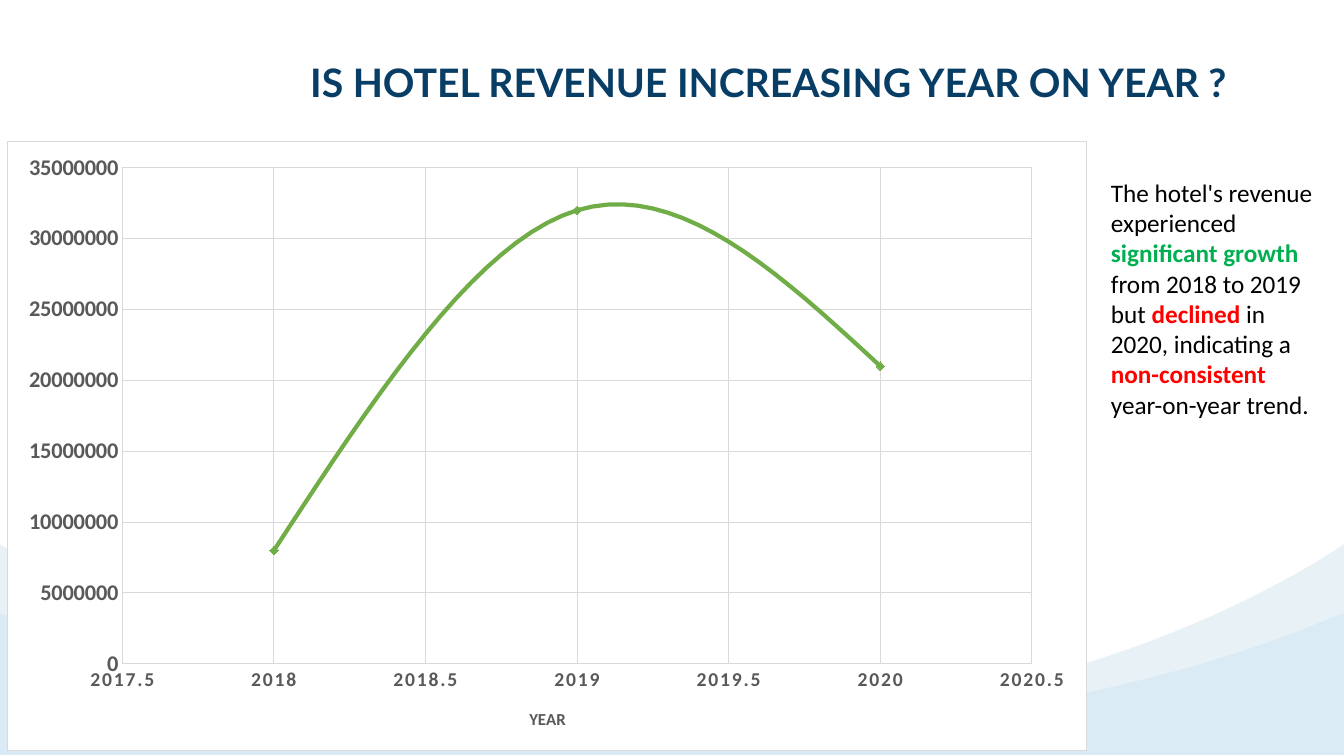
from lxml import etree
from pptx import Presentation
from pptx.chart.data import XyChartData
from pptx.dml.color import RGBColor
from pptx.enum.chart import XL_CHART_TYPE, XL_MARKER_STYLE, XL_TICK_MARK
from pptx.enum.text import MSO_ANCHOR, MSO_AUTO_SIZE, PP_ALIGN
from pptx.oxml import parse_xml
from pptx.oxml.ns import nsdecls, qn
from pptx.util import Inches, Pt

SCATTER = XL_CHART_TYPE.XY_SCATTER_SMOOTH
DIAMOND = XL_MARKER_STYLE.DIAMOND
NO_TICK = XL_TICK_MARK.NONE
TOP = MSO_ANCHOR.TOP
NO_FIT = MSO_AUTO_SIZE.NONE
CENTER = PP_ALIGN.CENTER

WHITE = RGBColor(0xFF, 0xFF, 0xFF)
BLACK = RGBColor(0x00, 0x00, 0x00)
NAVY = RGBColor(0x08, 0x3D, 0x65)
PALE = RGBColor(0xE8, 0xF1, 0xF6)
SKY = RGBColor(0x7A, 0xC2, 0xF9)
GRAY = RGBColor(0x59, 0x59, 0x59)
RULE = RGBColor(0xD9, 0xD9, 0xD9)
LEAF = RGBColor(0x70, 0xAD, 0x47)
GREEN = RGBColor(0x00, 0xB0, 0x50)
RED = RGBColor(0xFF, 0x00, 0x00)

WIDE, HIGH = 13.33, 7.5
REVENUE = [(2018, 8000000), (2019, 32000000), (2020, 21000000)]
NOTE = [
    ("The hotel's revenue experienced ", BLACK, False),
    ("significant growth ", GREEN, True),
    ("from 2018 to 2019 but ", BLACK, False),
    ("declined ", RED, True),
    ("in 2020, indicating a ", BLACK, False),
    ("non-consistent", RED, True),
    (" year-on-year trend.", BLACK, False),
]


def place(shape, box):
    shape.left, shape.top, shape.width, shape.height = map(Inches, box)


def style(font, name, size, color, bold):
    font.name = name
    font.size = Pt(size)
    font.color.rgb = color
    font.bold = bold


def add_title(slide, box):
    title = slide.shapes.title
    place(title, box)
    frame = title.text_frame
    frame.margin_left = frame.margin_right = 0
    frame.margin_top = frame.margin_bottom = 0
    frame.vertical_anchor = TOP
    frame.auto_size = NO_FIT
    frame.word_wrap = True
    frame.text = "IS HOTEL REVENUE INCREASING YEAR ON YEAR ?"
    line = frame.paragraphs[0]
    line.alignment = CENTER
    style(line.font, "Lato", 28, NAVY, True)


def bend_line(line, pulls):
    line.tag = qn("a:cubicBezTo")
    for spot, (x, y) in enumerate(pulls):
        point = etree.Element(qn("a:pt"), x=str(Inches(x)), y=str(Inches(y)))
        line.insert(spot, point)


def add_wave(slide, box, bend, color, alpha=100):
    left, top, width, height = box
    side, pull, base = bend
    spots = [(0.25, side), (width / 2, base), (width - 0.25, side),
             (width, 0), (width, height), (0, height), (0, 0)]
    pen = slide.shapes.build_freeform(Inches(left), Inches(top))
    pen.add_line_segments([(Inches(left + x), Inches(top + y)) for x, y in spots])
    wave = pen.convert_to_shape()
    lines = wave._element.findall(".//" + qn("a:lnTo"))
    bend_line(lines[1], [(1.94, pull), (4.2, base)])
    bend_line(lines[2], [(width - 4.2, base), (width - 1.94, pull)])
    wave.shadow.inherit = False
    wave.line.fill.background()
    wave.fill.solid()
    wave.fill.fore_color.rgb = color
    if alpha < 100:
        tint = wave._element.spPr.find(".//" + qn("a:srgbClr"))
        etree.SubElement(tint, qn("a:alpha"), val=str(alpha * 1000))


def set_line(line, color, width):
    line.color.rgb = color
    line.width = Pt(width)


def set_axis(axis, low, high, step, size):
    axis.minimum_scale, axis.maximum_scale, axis.major_unit = low, high, step
    axis.major_tick_mark = axis.minor_tick_mark = NO_TICK
    axis.has_major_gridlines = True
    set_line(axis.major_gridlines.format.line, RULE, 0.75)
    set_line(axis.format.line, RULE, 0.75)
    style(axis.tick_labels.font, "Calibri", size, GRAY, True)


def set_layout(parent, spot, box, x, y, size=None):
    wide, high = box[2:]
    marks = {"xMode": "edge", "yMode": "edge", "x": x / wide, "y": y / high}
    if size:
        marks = {"layoutTarget": "inner", **marks,
                 "w": size[0] / wide, "h": size[1] / high}
    body = "".join(f'<c:{key} val="{mark}"/>' for key, mark in marks.items())
    old = parent.find(qn("c:layout"))
    if old is not None:
        parent.remove(old)
    parent.insert(spot, parse_xml(
        f'<c:layout {nsdecls("c")}><c:manualLayout>{body}'
        '</c:manualLayout></c:layout>'))


def add_graph(slide, box):
    data = XyChartData()
    series = data.add_series("Series 1")
    for year, total in REVENUE:
        series.add_data_point(year, total)
    chart = slide.shapes.add_chart(SCATTER, *map(Inches, box), data).chart
    chart.has_title = chart.has_legend = False
    style(chart.font, "Calibri", 10, BLACK, False)
    chart.plots[0].vary_by_categories = False

    years, totals = chart.category_axis, chart.value_axis
    set_axis(years, 2017.5, 2020.5, 0.5, 14)
    set_axis(totals, 0, 35000000, 5000000, 16)
    years.tick_labels.font._element.set("spc", "120")
    frame = years.axis_title.text_frame
    frame.text = "YEAR"
    style(frame.paragraphs[0].font, "Calibri", 12, GRAY, True)
    set_layout(years.axis_title._element, 1, box, 5.15, 5.6)

    trend = chart.plots[0].series[0]
    set_line(trend.format.line, LEAF, 3)
    trend.marker.style, trend.marker.size = DIAMOND, 6
    trend.marker.format.fill.solid()
    trend.marker.format.fill.fore_color.rgb = LEAF
    set_line(trend.marker.format.line, LEAF, 0.75)
    for old in trend._element.findall(qn("c:smooth")):
        trend._element.remove(old)
    trend._element.find(qn("c:yVal")).addnext(
        parse_xml(f'<c:smooth {nsdecls("c")} val="1"/>'))

    body = chart._chartSpace.find(qn("c:chart"))
    set_layout(body.find(qn("c:plotArea")), 0, box, 1.14, 0.26, (9.03, 4.93))
    body.addnext(parse_xml(
        f'<c:spPr {nsdecls("c", "a")}><a:solidFill><a:srgbClr val="{WHITE}"/>'
        f'</a:solidFill><a:ln w="{Pt(0.75)}"><a:solidFill><a:srgbClr val="{RULE}"/>'
        '</a:solidFill></a:ln></c:spPr>'))


def add_note(slide, box):
    frame = slide.shapes.add_textbox(*map(Inches, box)).text_frame
    frame.word_wrap = True
    line = frame.paragraphs[0]
    line.font.name = "Calibri"
    line.font.size = Pt(18)
    for text, color, bold in NOTE:
        run = line.add_run()
        run.text = text
        run.font.color.rgb = color
        run.font.bold = bold


def main():
    deck = Presentation()
    deck.slide_width, deck.slide_height = Inches(WIDE), Inches(HIGH)
    slide = deck.slides.add_slide(deck.slide_layouts[5])
    slide.background.fill.solid()
    slide.background.fill.fore_color.rgb = WHITE
    add_title(slide, (2.99, 0.58, 9.26, 0.47))
    add_wave(slide, (0, 5.4, WIDE, 2.09), (0.16, 1.17, 1.79), PALE)
    add_wave(slide, (0, 6.08, WIDE, 1.41), (0.1, 0.79, 1.2), SKY, 11)
    add_graph(slide, (0.07, 1.4, 10.71, 6.05))
    add_note(slide, (10.92, 1.71, 2.28, 2.52))
    deck.save("out.pptx")


if __name__ == "__main__":
    main()
